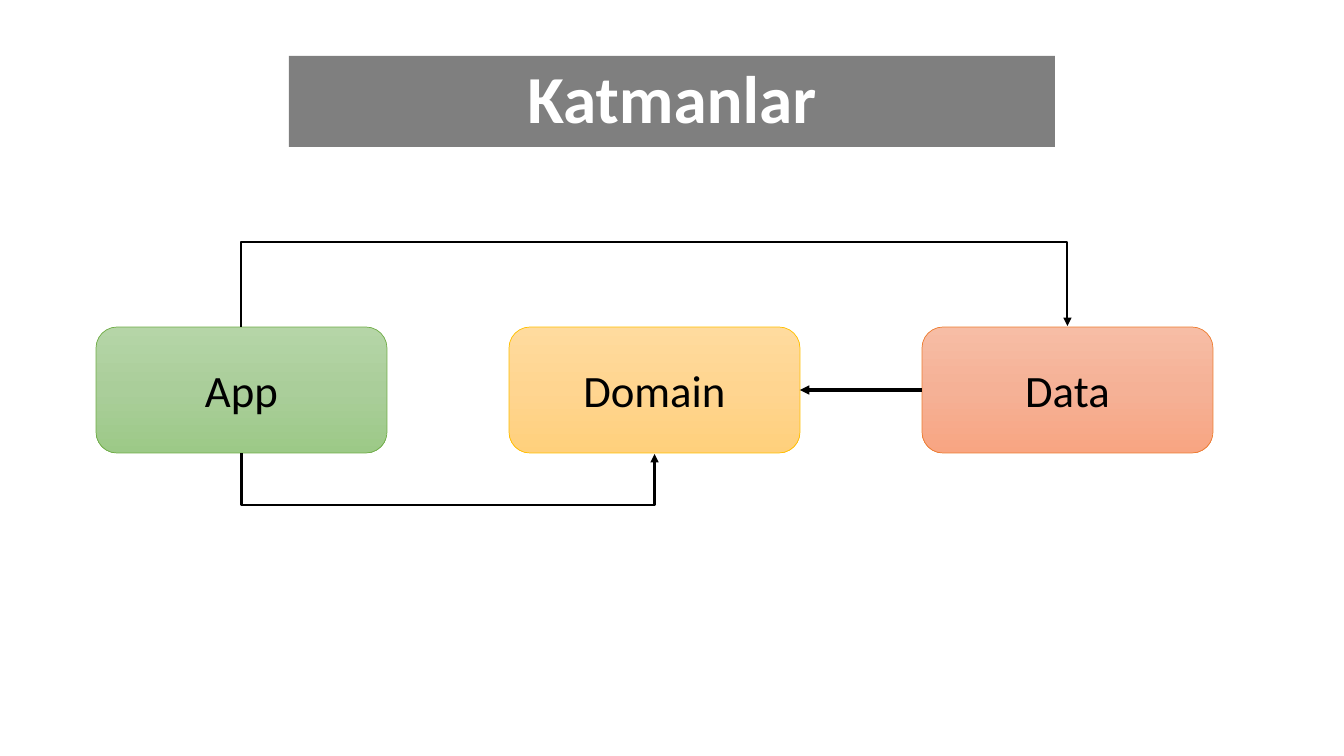
"""Build the Katmanlar slide: three layers and the arrows that link them."""
from copy import deepcopy
from dataclasses import dataclass

from lxml.etree import SubElement
from pptx import Presentation
from pptx.dml.color import RGBColor as RGB
from pptx.enum.shapes import MSO_CONNECTOR as CONN, MSO_SHAPE as SHAPE
from pptx.enum.text import MSO_ANCHOR as ANCHOR, PP_ALIGN as ALIGN
from pptx.oxml.ns import qn
from pptx.util import Pt

SCALE = 914400 / 100.8
COLORS = {
    "black": "000000", "white": "FFFFFF",
    "green": "70AD47", "amber": "FFC000", "orange": "ED7D31",
}
LAYER_X, LAYER_Y, LAYER_W, LAYER_H, PITCH = 96, 327, 291, 126, 413
TOP, LEFT, BOTTOM, RIGHT = range(4)


@dataclass
class Layer:
    name: str
    line: str
    stops: tuple[str, str, str]


@dataclass
class Arrow:
    start: str
    start_site: int
    end: str
    end_site: int
    width: float
    reach: int = 0


LAYERS = [
    Layer("App", "green", ("B5D5A7", "AACE9A", "9CC987")),
    Layer("Domain", "amber", ("FFDB9E", "FFD590", "FFD07C")),
    Layer("Data", "orange", ("F7BDA5", "F5B196", "F8A582")),
]
ARROWS = [
    Arrow("App", BOTTOM, "Domain", BOTTOM, 1.5, 52),
    Arrow("App", TOP, "Data", TOP, 1.5, 86),
    Arrow("Data", LEFT, "Domain", RIGHT, 2.25),
]


def px(n: float) -> int:
    return round(n * SCALE)


def rgb(name: str) -> RGB:
    return RGB.from_string(COLORS[name])


def add_text(sp, text: str, *, size: float, color: str, bold: bool = False,
             spacing: float = 1.0) -> None:
    tf = sp.text_frame
    tf.word_wrap = True
    tf.vertical_anchor = ANCHOR.MIDDLE
    p = tf.paragraphs[0]
    p.alignment = ALIGN.CENTER
    p.line_spacing = spacing
    r = p.add_run()
    r.text = text
    r.font.name = "Calibri"
    r.font.size = Pt(size)
    r.font.bold = bold
    r.font.color.rgb = rgb(color)


def add_box(s, kind, x: float, y: float, w: float, h: float):
    sp = s.shapes.add_shape(kind, px(x), px(y), px(w), px(h))
    sp.shadow.inherit = False
    return sp


def add_title(s, text: str) -> None:
    sp = add_box(s, SHAPE.RECTANGLE, 289, 56, 766, 91)
    sp.fill.solid()
    sp.fill.fore_color.rgb = rgb("black")
    clr = sp._element.spPr.find(qn("a:solidFill"))[0]
    SubElement(clr, qn("a:alpha"), val="50000")
    sp.line.fill.background()
    add_text(sp, text, size=48, color="white", bold=True, spacing=0.9)


def add_layer(s, layer: Layer, col: int):
    sp = add_box(s, SHAPE.ROUNDED_RECTANGLE, LAYER_X + col * PITCH, LAYER_Y, LAYER_W, LAYER_H)
    sp.fill.gradient()
    sp.fill.gradient_angle = 270
    gs_list = sp._element.spPr.find(".//" + qn("a:gsLst"))
    gs_list.append(deepcopy(gs_list[0]))
    for i, (stop, color) in enumerate(zip(sp.fill.gradient_stops, layer.stops)):
        stop.position = i / 2
        stop.color.rgb = RGB.from_string(color)
    sp.line.color.rgb = rgb(layer.line)
    sp.line.width = Pt(0.5)
    add_text(sp, layer.name, size=32, color="black")
    return sp


def bend(c, above: bool, reach: int) -> None:
    """Turn a level elbow so that it runs out, across and back."""
    mid_x, span = c.left + c.width / 2, c.width
    mid_y = c.top + px(-0.5 if above else 0.5)
    c.width, c.height = px(1), span
    c.left, c.top = round(mid_x - px(1) / 2), round(mid_y - span / 2)
    xfrm = c._element.spPr.find(qn("a:xfrm"))
    xfrm.set("rot", str((90 if above else 270) * 60000))
    xfrm.set("flipH", "1")
    xfrm.set("flipV", "1" if above else "0")
    av = c._element.spPr.find(".//" + qn("a:avLst"))
    SubElement(av, qn("a:gd"), name="adj1", fmla=f"val {reach * 100000}")


def add_arrow(s, arrow: Arrow, boxes: dict) -> None:
    kind = CONN.ELBOW if arrow.reach else CONN.STRAIGHT
    c = s.shapes.add_connector(kind, 0, 0, 0, 0)
    c.begin_connect(boxes[arrow.start], arrow.start_site)
    c.end_connect(boxes[arrow.end], arrow.end_site)
    if arrow.reach:
        bend(c, arrow.start_site == TOP, arrow.reach)
    c.line.color.rgb = rgb("black")
    c.line.width = Pt(arrow.width)
    SubElement(c.line._get_or_add_ln(), qn("a:tailEnd"), type="triangle")
    SubElement(c._element.spPr, qn("a:effectLst"))


def main() -> None:
    prs = Presentation()
    prs.slide_width, prs.slide_height = px(1344), px(756)
    s = prs.slides.add_slide(prs.slide_layouts[6])
    add_title(s, "Katmanlar")
    boxes = {layer.name: add_layer(s, layer, i) for i, layer in enumerate(LAYERS)}
    for arrow in ARROWS:
        add_arrow(s, arrow, boxes)
    prs.save("out.pptx")


main()
